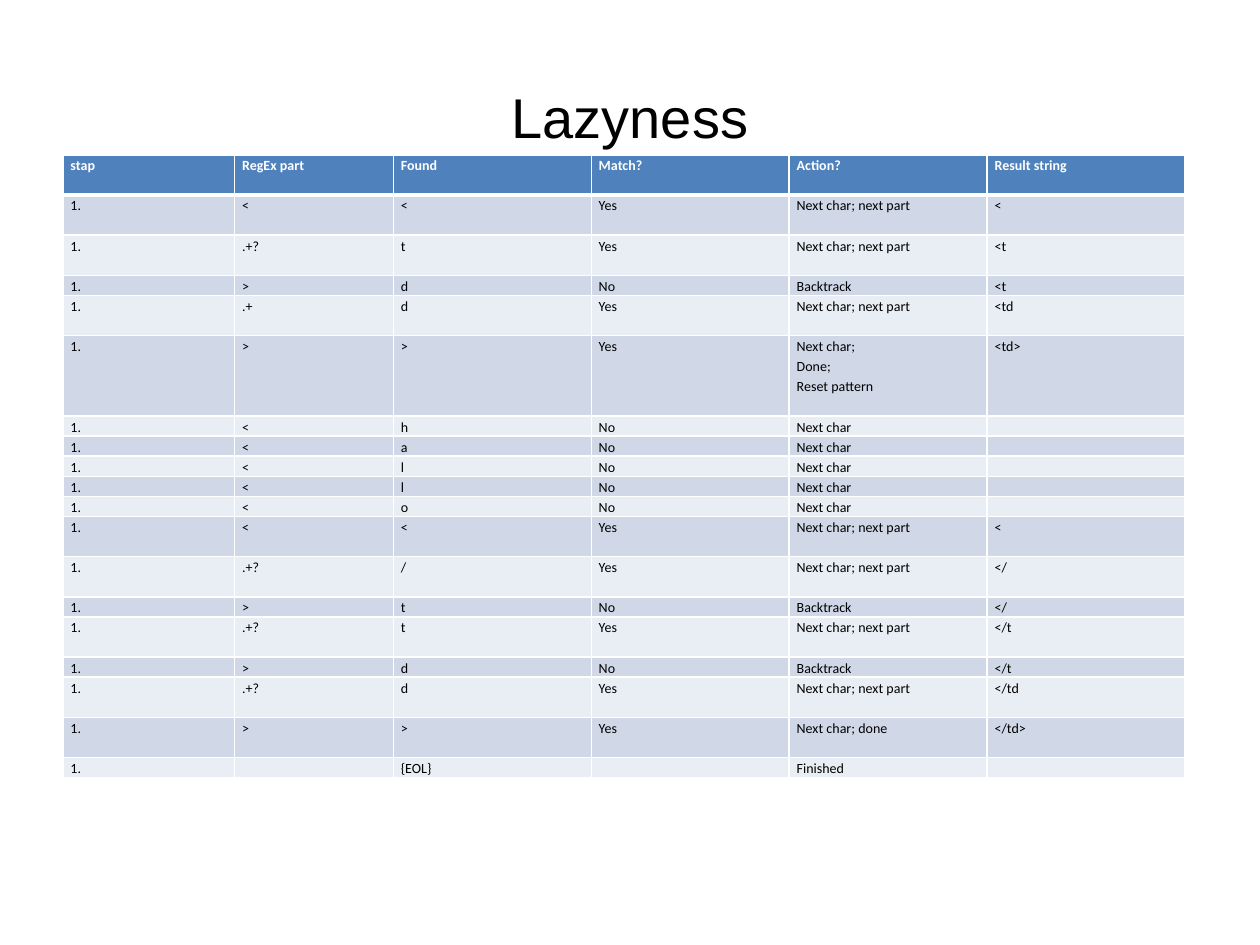
"""Build the slide that traces a lazy regular expression step by step."""
from lxml import etree
from pptx import Presentation
from pptx.dml.color import RGBColor
from pptx.enum.text import MSO_ANCHOR, PP_ALIGN
from pptx.oxml.ns import qn
from pptx.util import Cm, Pt

CENTER = PP_ALIGN.CENTER
MIDDLE = MSO_ANCHOR.MIDDLE

COLORS = {
    "header": "4F81BD",
    "odd": "D0D8E8",
    "even": "E9EDF4",
    "border": "FFFFFF",
    "header_text": "FFFFFF",
    "text": "000000",
}
TITLE = "Lazyness"
HEADERS = ("stap", "RegEx part", "Found", "Match?", "Action?", "Result string")
NEXT_PART = "Next char; next part"
# STEPS
STEPS = [
    (2, "<", "<", "Yes", NEXT_PART, "<"),
    (2, ".+?", "t", "Yes", NEXT_PART, "<t"),
    (1, ">", "d", "No", "Backtrack", "<t"),
    (2, ".+", "d", "Yes", NEXT_PART, "<td"),
    (4, ">", ">", "Yes", "Next char;\nDone;\nReset pattern", "<td>"),
    *[(1, "<", letter, "No", "Next char", "") for letter in "hallo"],
    (2, "<", "<", "Yes", NEXT_PART, "<"),
    (2, ".+?", "/", "Yes", NEXT_PART, "</"),
    (1, ">", "t", "No", "Backtrack", "</"),
    (2, ".+?", "t", "Yes", NEXT_PART, "</t"),
    (1, ">", "d", "No", "Backtrack", "</t"),
    (2, ".+?", "d", "Yes", NEXT_PART, "</td"),
    (2, ">", ">", "Yes", "Next char; done", "</td>"),
    (1, "", "{EOL}", "", "Finished", ""),
]
LINES = [2] + [step[0] for step in STEPS]
WIDTHS = (3.46, 3.2, 3.99, 3.99, 3.99, 3.99)
LEFT, TOP, HEIGHT = 1.27, 3.12, 12.57
FONT_SIZE = 8


def set_font(p, name, size, color, bold=False):
    """Format the whole paragraph."""
    p.font.name, p.font.size, p.font.bold = name, Pt(size), bold
    p.font.color.rgb = RGBColor.from_string(COLORS[color])


def set_borders(cell, bottom):
    """Draw the four cell borders ahead of the fill."""
    tc_pr = cell._tc.get_or_add_tcPr()
    for i, (side, width) in enumerate(zip("LRTB", (1, 1, 1, bottom))):
        ln = etree.Element(qn(f"a:ln{side}"), w=str(Pt(width)))
        fill = etree.SubElement(ln, qn("a:solidFill"))
        etree.SubElement(fill, qn("a:srgbClr"), val=COLORS["border"])
        tc_pr.insert(i, ln)


def number_paragraph(p):
    """Number the paragraph automatically."""
    p_pr = p._p.get_or_add_pPr()
    p_pr.set("marL", str(Cm(0.64)))
    p_pr.set("indent", str(Cm(-0.64)))
    bullet = etree.Element(qn("a:buAutoNum"), type="arabicPeriod")
    p_pr.find(qn("a:defRPr")).addprevious(bullet)


def fill_cell(cell, text, fill, header, numbered):
    """Write and format one table cell."""
    cell.margin_left = cell.margin_right = Cm(0.15)
    cell.margin_top = cell.margin_bottom = 0
    cell.fill.solid()
    cell.fill.fore_color.rgb = RGBColor.from_string(COLORS[fill])
    set_borders(cell, 3 if header else 1)
    cell.text = text
    for p in cell.text_frame.paragraphs:
        p.line_spacing = 1.15
        set_font(p, "Calibri", FONT_SIZE, "header_text" if header else "text", header)
        if numbered:
            number_paragraph(p)
        if not text:
            etree.SubElement(p._p, qn("a:endParaRPr"), sz=str(FONT_SIZE * 100))


def main():
    """Build and save the slide."""
    prs = Presentation()
    prs.slide_width, prs.slide_height = Cm(25.4), Cm(19.05)
    s = prs.slides.add_slide(prs.slide_layouts[5])

    title = s.shapes.title
    title.left, title.top, title.width, title.height = Cm(1.27), Cm(0.76), Cm(22.86), Cm(3.18)
    title.text_frame.text = TITLE
    title.text_frame.vertical_anchor = MIDDLE
    p = title.text_frame.paragraphs[0]
    p.alignment = CENTER
    set_font(p, "Arial", 32, "text")

    table = s.shapes.add_table(
        len(LINES), len(HEADERS), Cm(LEFT), Cm(TOP), Cm(sum(WIDTHS)), Cm(HEIGHT)
    ).table
    table.horz_banding = False
    for column, width in zip(table.columns, WIDTHS):
        column.width = Cm(width)
    for row, lines in zip(table.rows, LINES):
        row.height = Cm(HEIGHT * lines / sum(LINES))

    rows = [HEADERS] + [(" ", *step[1:]) for step in STEPS]
    for r, texts in enumerate(rows):
        fill = "header" if r == 0 else "odd" if r % 2 else "even"
        for c, text in enumerate(texts):
            fill_cell(table.cell(r, c), text, fill, r == 0, r > 0 and c == 0)

    prs.save("out.pptx")


if __name__ == "__main__":
    main()
